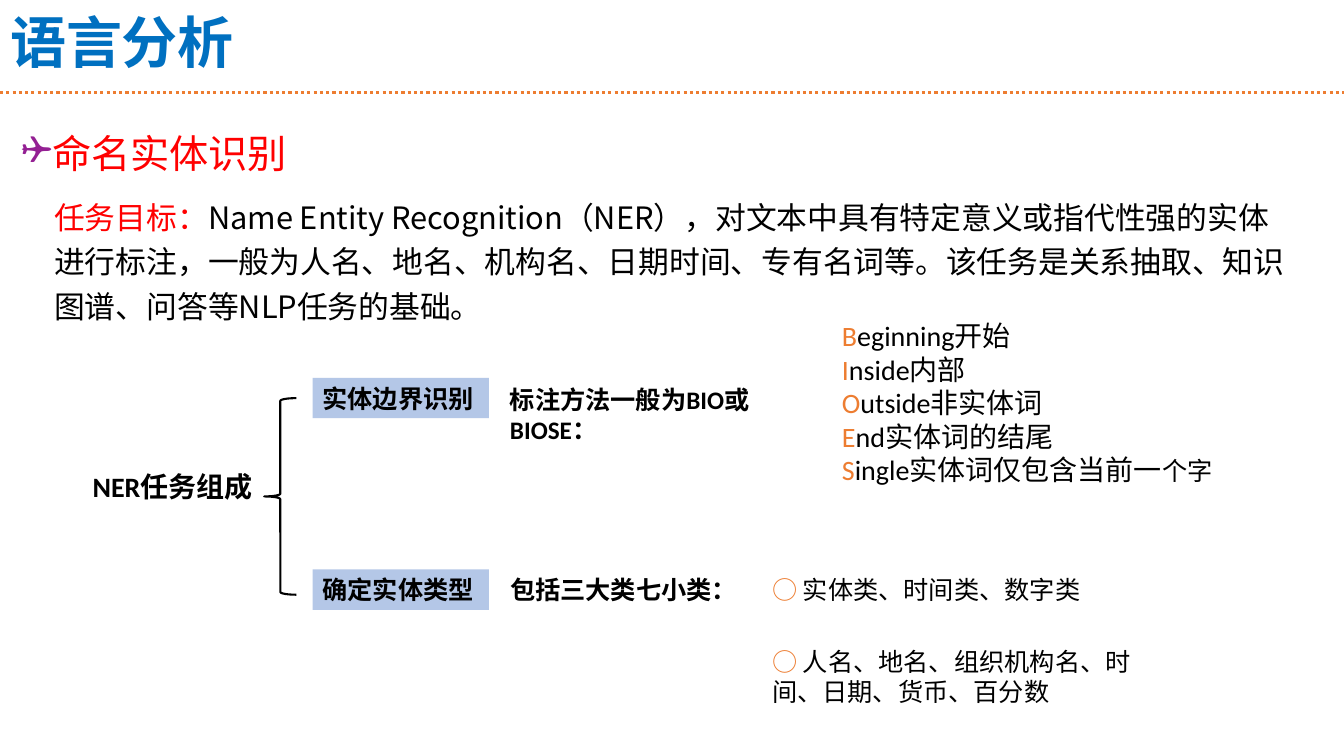
from lxml import etree
from pptx import Presentation
from pptx.dml.color import RGBColor
from pptx.enum.dml import MSO_LINE_DASH_STYLE as DASH
from pptx.enum.shapes import MSO_CONNECTOR as CONNECTOR, MSO_SHAPE as SHAPE
from pptx.enum.text import MSO_ANCHOR as ANCHOR, MSO_AUTO_SIZE as AUTO, PP_ALIGN as ALIGN
from pptx.oxml.ns import qn
from pptx.util import Inches, Pt

BLUE = RGBColor(0x00, 0x70, 0xC0)
ORANGE = RGBColor(0xED, 0x7D, 0x31)
RED = RGBColor(0xFF, 0x00, 0x00)
BLACK = RGBColor(0x00, 0x00, 0x00)
PALE_BLUE = RGBColor(0xB4, 0xC7, 0xE7)
CJK = "Noto Sans CJK SC"


def write(shape, *paragraphs, size, font="Calibri", bold=False, spacing=1.0,
          fit=AUTO.SHAPE_TO_FIT_TEXT, anchor=ANCHOR.TOP):
    """Each paragraph is a list of (text, colour) or (text, colour, size)."""
    frame = shape.text_frame
    frame.word_wrap = True
    frame.auto_size = fit
    frame.vertical_anchor = anchor
    for i, pieces in enumerate(paragraphs):
        paragraph = frame.add_paragraph() if i else frame.paragraphs[0]
        paragraph.alignment = ALIGN.LEFT
        paragraph.line_spacing = spacing
        paragraph.space_before = Pt(0)
        for text, colour, *own_size in pieces:
            run = paragraph.add_run()
            run.text = text
            run.font.size = Pt(own_size[0] if own_size else size)
            run.font.bold = bold
            run.font.color.rgb = colour
            run.font.name = font
            etree.SubElement(run.font._element, qn("a:ea"), typeface=CJK)


def place(shape, left, top, width, height):
    shape.left, shape.top = Inches(left), Inches(top)
    shape.width, shape.height = Inches(width), Inches(height)


prs = Presentation()
prs.slide_width, prs.slide_height = Inches(13.33), Inches(7.5)
slide = prs.slides.add_slide(prs.slide_layouts[1])
shapes = slide.shapes

# Title and dotted rule
title = shapes.title
place(title, 0, -0.01, 13.33, 0.92)
write(title, [("语言分析", BLUE)], size=40, font=CJK, bold=True, spacing=0.9,
      fit=AUTO.NONE, anchor=ANCHOR.MIDDLE)

rule = shapes.add_connector(CONNECTOR.STRAIGHT, 0, Inches(0.92), Inches(13.33), Inches(0.92))
rule.line.color.rgb = ORANGE
rule.line.width = Pt(2.25)
rule.line.dash_style = DASH.ROUND_DOT
etree.SubElement(rule._element.spPr, qn("a:effectLst"))

# Topic with its square bullet
topic = shapes.placeholders[1]
place(topic, 0.13, 1.14, 13.02, 0.72)
topic.text_frame.margin_left = Inches(0.08)
bullet = topic.text_frame.paragraphs[0]._p.get_or_add_pPr()
bullet.set("marL", str(Inches(0.25)))
bullet.set("indent", str(-Inches(0.25)))
bullet_colour = etree.SubElement(bullet, qn("a:buClr"))
etree.SubElement(bullet_colour, qn("a:srgbClr"), val="942093")
etree.SubElement(bullet, qn("a:buFont"), typeface="Wingdings")
etree.SubElement(bullet, qn("a:buChar"), char="❑")
write(topic, [("命名实体识别", RED)], size=28, font=CJK, spacing=1.2, fit=AUTO.NONE)

# Goal of the task
goal = shapes.add_textbox(Inches(0.44), Inches(1.85), Inches(12.4), Inches(1.4))
write(goal, [
    ("任务目标：", RED),
    ("Name Entity Recognition（NER），对文本中具有特定意义或指代性强的实体进行标注，"
     "一般为人名、地名、机构名、日期时间、专有名词等。该任务是关系抽取、知识图谱、"
     "问答等NLP任务的基础。", BLACK),
], size=22, font=CJK, spacing=1.2)

# Tree: root, brace and two subtasks
tree = shapes.add_group_shape().shapes
root = tree.add_textbox(Inches(0.82), Inches(4.61), Inches(1.8), Inches(0.44))
write(root, [("NER任务组成", BLACK)], size=20, bold=True)

brace = tree.add_shape(SHAPE.LEFT_BRACE, Inches(2.62), Inches(3.95), Inches(0.32), Inches(1.95))
brace.shadow.inherit = False
brace.fill.background()
brace.line.color.rgb = BLACK
brace.line.width = Pt(1.5)

for name, top in (("实体边界识别", 3.75), ("确定实体类型", 5.65)):
    subtask = tree.add_shape(SHAPE.RECTANGLE, Inches(3.1), Inches(top), Inches(1.75), Inches(0.4))
    subtask.shadow.inherit = False
    subtask.fill.solid()
    subtask.fill.fore_color.rgb = PALE_BLUE
    subtask.line.fill.background()
    write(subtask, [(name, BLACK)], size=18, bold=True)

# Explanation beside each subtask
for text, top, width in (("标注方法一般为BIO或BIOSE：", 3.76, 3.3),
                         ("包括三大类七小类：", 5.65, 2.52)):
    note = shapes.add_textbox(Inches(4.96), Inches(top), Inches(width), Inches(0.4))
    write(note, [(text, BLACK)], size=18, bold=True)

# Entity classes
for text, top, height in (("实体类、时间类、数字类", 5.65, 0.4),
                          ("人名、地名、组织机构名、时间、日期、货币、百分数", 6.36, 0.71)):
    classes = shapes.add_textbox(Inches(7.56), Inches(top), Inches(3.94), Inches(height))
    write(classes, [("○ ", ORANGE), (text, BLACK)], size=18)

# BIOSE legend
legend = shapes.add_textbox(Inches(8.19), Inches(3.11), Inches(4.73), Inches(1.85))
legend.text_frame.margin_left = Inches(0.16)
tags = ("Beginning开始", "Inside内部", "Outside非实体词", "End实体词的结尾",
        "Single实体词仅包含当前一")
lines = [[(tag[0], ORANGE), (tag[1:], BLACK)] for tag in tags]
lines[-1].append(("个字", BLACK, 18))
write(legend, *lines, size=20)

prs.save("out.pptx")
